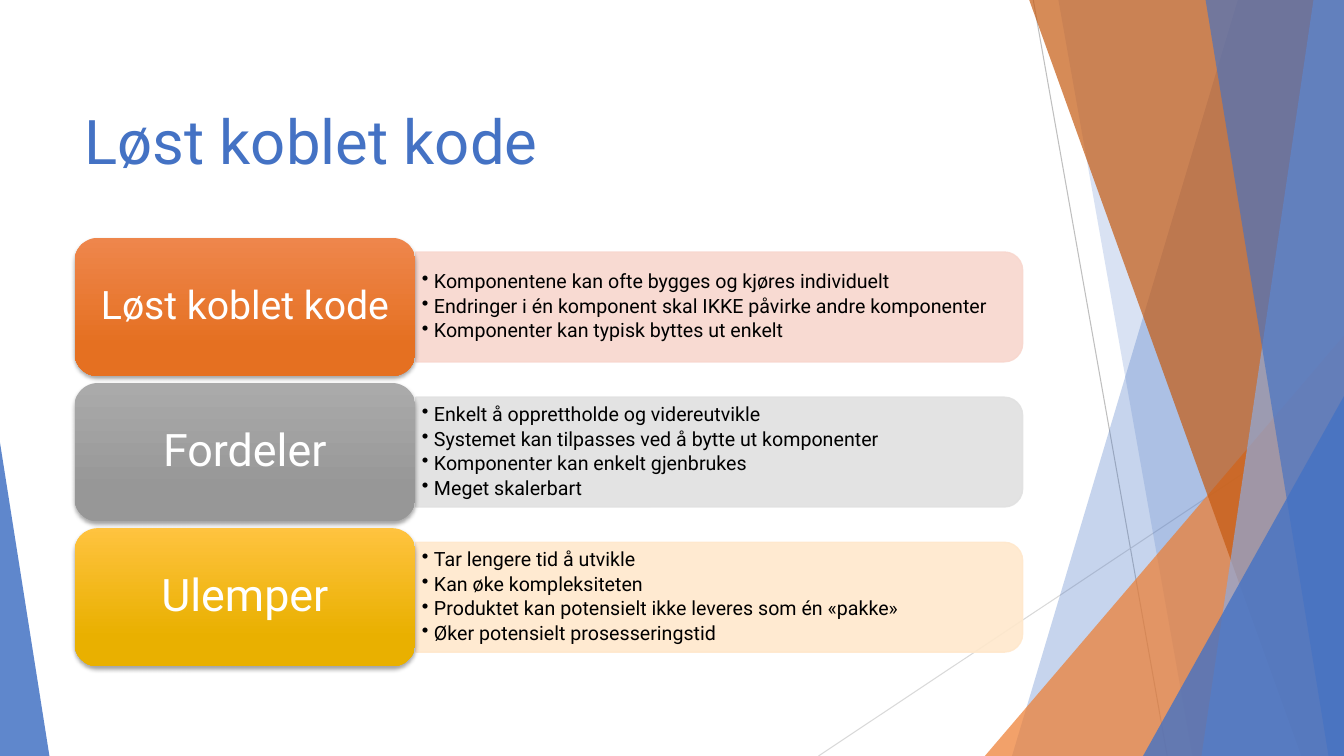
from dataclasses import dataclass

from lxml.etree import SubElement
from pptx import Presentation
from pptx.dml.color import RGBColor
from pptx.enum.shapes import MSO_CONNECTOR, MSO_SHAPE
from pptx.enum.text import MSO_ANCHOR, PP_ALIGN
from pptx.oxml.ns import qn
from pptx.util import Emu, Inches, Pt


@dataclass(frozen=True)
class Theme:
    font: str = "Roboto"
    blue: str = "4472C4"
    pale_blue: str = "8FAADC"
    orange: str = "ED7D31"
    rust: str = "C55A11"
    white: str = "FFFFFF"
    black: str = "000000"
    title_size: int = 44
    bullet_size: int = 14


@dataclass(frozen=True)
class Ray:
    start: tuple[float, float]
    end: tuple[float, float]
    colour: str


@dataclass(frozen=True)
class Facet:
    """Band from a slanted left edge to the right side of the slide."""
    top_left: float
    bottom_left: float
    colour: str
    opacity: int


@dataclass(frozen=True)
class Corner:
    """Right-angled triangle standing on the bottom of the slide."""
    left: float
    top: float
    width: float
    apex: float
    colour: str
    opacity: int


@dataclass(frozen=True)
class Topic:
    heading: str
    heading_size: int
    gradient: tuple[str, str]
    tint: str
    points: tuple[str, ...]


THEME = Theme()

# Grid of 100 columns by 100 rows; the topics repeat every TOPIC_PITCH rows
SLIDE_WIDTH, SLIDE_HEIGHT = Inches(13.33), Inches(7.5)
LEFT_EDGE = 5.55
TOPIC_TOP, TOPIC_PITCH = 31.47, 19.2
HEADING_WIDTH, HEADING_HEIGHT = 25.35, 18.27
PANEL_LEFT, PANEL_WIDTH, PANEL_HEIGHT = 30.94, 45.15, 14.53
POINTS_WIDTH, POINTS_HEIGHT = 44.7, 13.2

RAYS = (
    Ray((76.88, 0), (86.85, 100), "BFBFBF"),
    Ray((100, 53.73), (60.9, 100), "D9D9D9"),
)
BACKDROP = (
    Facet(92.1, 75.3, THEME.blue, 30),
    Facet(78.75, 88.73, THEME.blue, 20),
    Corner(73.28, 44.4, 26.72, 1, THEME.orange, 72),
    Facet(76.58, 96.83, THEME.rust, 70),
    Facet(97.73, 89.4, THEME.pale_blue, 70),
    Facet(89.7, 98.85, THEME.blue, 65),
    Corner(85.05, 52.4, 14.95, 1, THEME.blue, 80),
    Corner(0, 58.53, 3.68, 0, THEME.blue, 85),
)
TOPICS = (
    Topic("Løst koblet kode", 28, ("EE864C", "E57021"), "F8D7CE", (
        "Komponentene kan ofte bygges og kjøres individuelt",
        "Endringer i én komponent skal IKKE påvirke andre komponenter",
        "Komponenter kan typisk byttes ut enkelt")),
    Topic("Fordeler", 32, ("AAAAAA", "979797"), "E1E1E1", (
        "Enkelt å opprettholde og videreutvikle",
        "Systemet kan tilpasses ved å bytte ut komponenter",
        "Komponenter kan enkelt gjenbrukes",
        "Meget skalerbart")),
    Topic("Ulemper", 32, ("FFC33F", "E9B000"), "FFE8CC", (
        "Tar lengere tid å utvikle",
        "Kan øke kompleksiteten",
        "Produktet kan potensielt ikke leveres som én «pakke»",
        "Øker potensielt prosesseringstid")),
)


def col(share: float) -> Emu:
    return Emu(round(SLIDE_WIDTH * share / 100))


def row(share: float) -> Emu:
    return Emu(round(SLIDE_HEIGHT * share / 100))


def rgb(colour: str) -> RGBColor:
    return RGBColor.from_string(colour)


def set_opacity(shape, percent: int) -> None:
    for colour in shape._element.spPr.iter(qn("a:srgbClr")):
        SubElement(colour, qn("a:alpha"), val=str(percent * 1000))


def paint(shape, colour: str, opacity: int, outlined: bool = False) -> None:
    shape.shadow.inherit = False
    shape.fill.solid()
    shape.fill.fore_color.rgb = rgb(colour)
    if outlined:
        shape.line.color.rgb = rgb(colour)
        shape.line.width = Pt(1)
    else:
        shape.line.fill.background()
    set_opacity(shape, opacity)


def style_font(paragraph, size: int, colour: str) -> None:
    paragraph.font.name = THEME.font
    paragraph.font.size = Pt(size)
    paragraph.font.color.rgb = rgb(colour)


def prepare_frame(frame, side: float, edge: float) -> None:
    frame.word_wrap = True
    frame.vertical_anchor = MSO_ANCHOR.MIDDLE
    frame.margin_left = frame.margin_right = Inches(side)
    frame.margin_top = frame.margin_bottom = Inches(edge)


def draw_ray(shapes, ray: Ray) -> None:
    line = shapes.add_connector(MSO_CONNECTOR.STRAIGHT, col(ray.start[0]), row(ray.start[1]),
                                col(ray.end[0]), row(ray.end[1]))
    line.line.color.rgb = rgb(ray.colour)
    line.line.width = Pt(0.75)
    SubElement(line._element.spPr, qn("a:effectLst"))


def draw_backdrop_part(shapes, part: Facet | Corner) -> None:
    if isinstance(part, Facet):
        outline = shapes.build_freeform(col(part.top_left), row(0))
        outline.add_line_segments([(col(100), row(0)), (col(100), row(100)),
                                   (col(part.bottom_left), row(100))], close=True)
        surface = outline.convert_to_shape()
    else:
        surface = shapes.add_shape(MSO_SHAPE.ISOSCELES_TRIANGLE, col(part.left), row(part.top),
                                   col(part.width), row(100 - part.top))
        surface.adjustments[0] = part.apex
    paint(surface, part.colour, part.opacity)


def draw_title(shapes, text: str) -> None:
    title = shapes.add_textbox(col(LEFT_EDGE), row(8.93), col(70.5), row(19.2))
    prepare_frame(title.text_frame, 0.1, 0.05)
    title.text_frame.text = text
    style_font(title.text_frame.paragraphs[0], THEME.title_size, THEME.blue)


def draw_panel(shapes, topic: Topic, middle: float) -> None:
    # The rounded side faces right after a quarter turn about the centre
    width, height = row(PANEL_HEIGHT), col(PANEL_WIDTH)
    panel = shapes.add_shape(MSO_SHAPE.ROUND_2_SAME_RECTANGLE,
                             col(PANEL_LEFT + PANEL_WIDTH / 2) - width // 2,
                             row(middle) - height // 2, width, height)
    panel.rotation = 90
    paint(panel, topic.tint, 90, outlined=True)

    points = shapes.add_textbox(col(PANEL_LEFT), row(middle - POINTS_HEIGHT / 2),
                                col(POINTS_WIDTH), row(POINTS_HEIGHT))
    frame = points.text_frame
    prepare_frame(frame, 0.06, 0.03)
    frame.text = "\n".join(topic.points)
    for point in frame.paragraphs:
        point.line_spacing = 0.9
        point.space_after = Pt(2.4)
        properties = point._p.get_or_add_pPr()
        properties.set("marL", str(Inches(0.12)))
        properties.set("indent", str(-Inches(0.12)))
        SubElement(properties, qn("a:buChar"), char="•")
        style_font(point, THEME.bullet_size, THEME.black)


def draw_heading(shapes, topic: Topic, top: float) -> None:
    heading = shapes.add_shape(MSO_SHAPE.ROUNDED_RECTANGLE, col(LEFT_EDGE), row(top),
                               col(HEADING_WIDTH), row(HEADING_HEIGHT))
    heading.line.fill.background()
    heading.fill.gradient()
    heading.fill.gradient_angle = 270
    for stop, colour, position in zip(heading.fill.gradient_stops, topic.gradient, (0, 0.78)):
        stop.color.rgb = rgb(colour)
        stop.position = position

    # Soft shadow below
    heading.shadow.inherit = False
    effects = heading._element.spPr.find(qn("a:effectLst"))
    shadow = SubElement(effects, qn("a:outerShdw"), blurRad=str(Pt(3)), dist=str(Pt(2)),
                        dir="5400000", algn="ctr", rotWithShape="0")
    shade = SubElement(shadow, qn("a:srgbClr"), val=THEME.black)
    SubElement(shade, qn("a:alpha"), val="35000")

    prepare_frame(heading.text_frame, 0.12, 0.06)
    heading.text_frame.text = topic.heading
    label = heading.text_frame.paragraphs[0]
    label.alignment = PP_ALIGN.CENTER
    label.line_spacing = 0.9
    style_font(label, topic.heading_size, THEME.white)


def main() -> None:
    deck = Presentation()
    deck.slide_width, deck.slide_height = SLIDE_WIDTH, SLIDE_HEIGHT
    shapes = deck.slides.add_slide(deck.slide_layouts[6]).shapes
    for ray in RAYS:
        draw_ray(shapes, ray)
    for part in BACKDROP:
        draw_backdrop_part(shapes, part)
    draw_title(shapes, "Løst koblet kode")
    for index, topic in enumerate(TOPICS):
        top = TOPIC_TOP + index * TOPIC_PITCH
        draw_panel(shapes, topic, top + HEADING_HEIGHT / 2)
        draw_heading(shapes, topic, top)
    deck.save("out.pptx")


if __name__ == "__main__":
    main()
